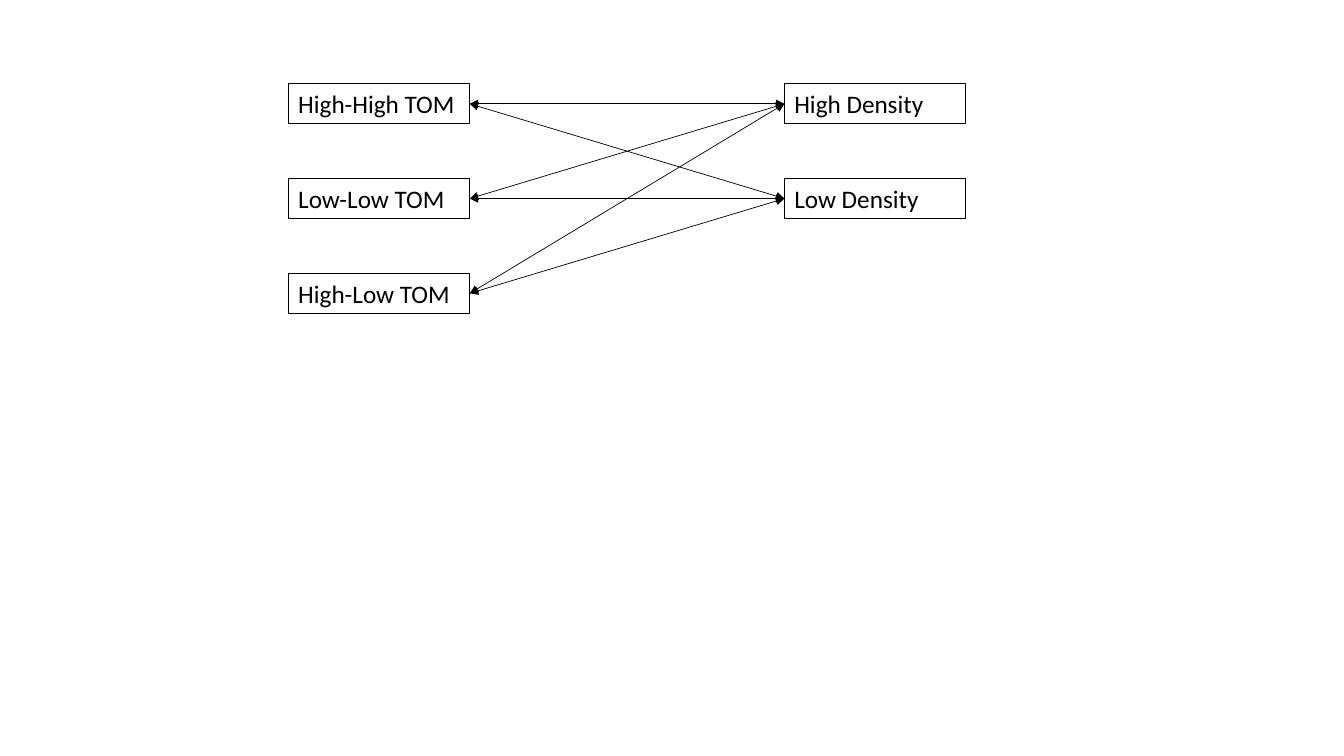
from lxml import etree
from pptx import Presentation
from pptx.dml.color import RGBColor
from pptx.enum.shapes import MSO_CONNECTOR, MSO_SHAPE
from pptx.enum.text import MSO_ANCHOR, MSO_AUTO_SIZE, PP_ALIGN
from pptx.oxml.ns import qn
from pptx.util import Inches, Pt

STRAIGHT = MSO_CONNECTOR.STRAIGHT
RECTANGLE = MSO_SHAPE.RECTANGLE
TOP = MSO_ANCHOR.TOP
GROW = MSO_AUTO_SIZE.SHAPE_TO_FIT_TEXT
LEFT = PP_ALIGN.LEFT

COLOURS = {"ink": "000000", "paper": "FFFFFF"}
FONT = "Calibri"
LEFT_SIDE, RIGHT_SIDE = 1, 3

COLUMNS = (2.86, 7.78)
FIRST_ROW, ROW_STEP = 0.83, 0.94
BOX_WIDTH, BOX_HEIGHT = 1.8, 0.4

TOM_LEVELS = ("High-High TOM", "Low-Low TOM", "High-Low TOM")
DENSITY_LEVELS = ("High Density", "Low Density")


def colour(name):
    return RGBColor.from_string(COLOURS[name])


def write_text(frame, text, size=18, font=FONT, ink="ink", align=LEFT):
    frame.word_wrap = True
    frame.auto_size = GROW
    frame.vertical_anchor = TOP
    para = frame.paragraphs[0]
    para.alignment = align
    span = para.add_run()
    span.text = text
    span.font.size = Pt(size)
    span.font.name = font
    span.font.color.rgb = colour(ink)


def add_box(page, column, row, text):
    box = page.shapes.add_shape(
        RECTANGLE,
        Inches(COLUMNS[column]),
        Inches(FIRST_ROW + row * ROW_STEP),
        Inches(BOX_WIDTH),
        Inches(BOX_HEIGHT),
    )
    box.shadow.inherit = False
    box.fill.background()
    box.line.color.rgb = colour("ink")
    box.line.width = Pt(0.75)
    write_text(box.text_frame, text)
    return box


def add_double_arrow(page, start, end):
    arrow = page.shapes.add_connector(STRAIGHT, 0, 0, 0, 0)
    arrow.begin_connect(start, RIGHT_SIDE)
    arrow.end_connect(end, LEFT_SIDE)
    arrow.line.color.rgb = colour("ink")
    arrow.line.width = Pt(0.5)
    outline = arrow.line._get_or_add_ln()
    for tag in ("a:headEnd", "a:tailEnd"):
        etree.SubElement(outline, qn(tag), type="triangle")
    etree.SubElement(arrow._element.spPr, qn("a:effectLst"))


def add_column(page, column, labels):
    return [add_box(page, column, row, text) for row, text in enumerate(labels)]


def main():
    deck = Presentation()
    deck.slide_width = Inches(13.33)
    deck.slide_height = Inches(7.5)
    page = deck.slides.add_slide(deck.slide_layouts[6])
    page.background.fill.solid()
    page.background.fill.fore_color.rgb = colour("paper")

    tom_boxes = add_column(page, 0, TOM_LEVELS)
    density_boxes = add_column(page, 1, DENSITY_LEVELS)
    for tom_box in tom_boxes:
        for density_box in density_boxes:
            add_double_arrow(page, tom_box, density_box)

    deck.save("out.pptx")


if __name__ == "__main__":
    main()
